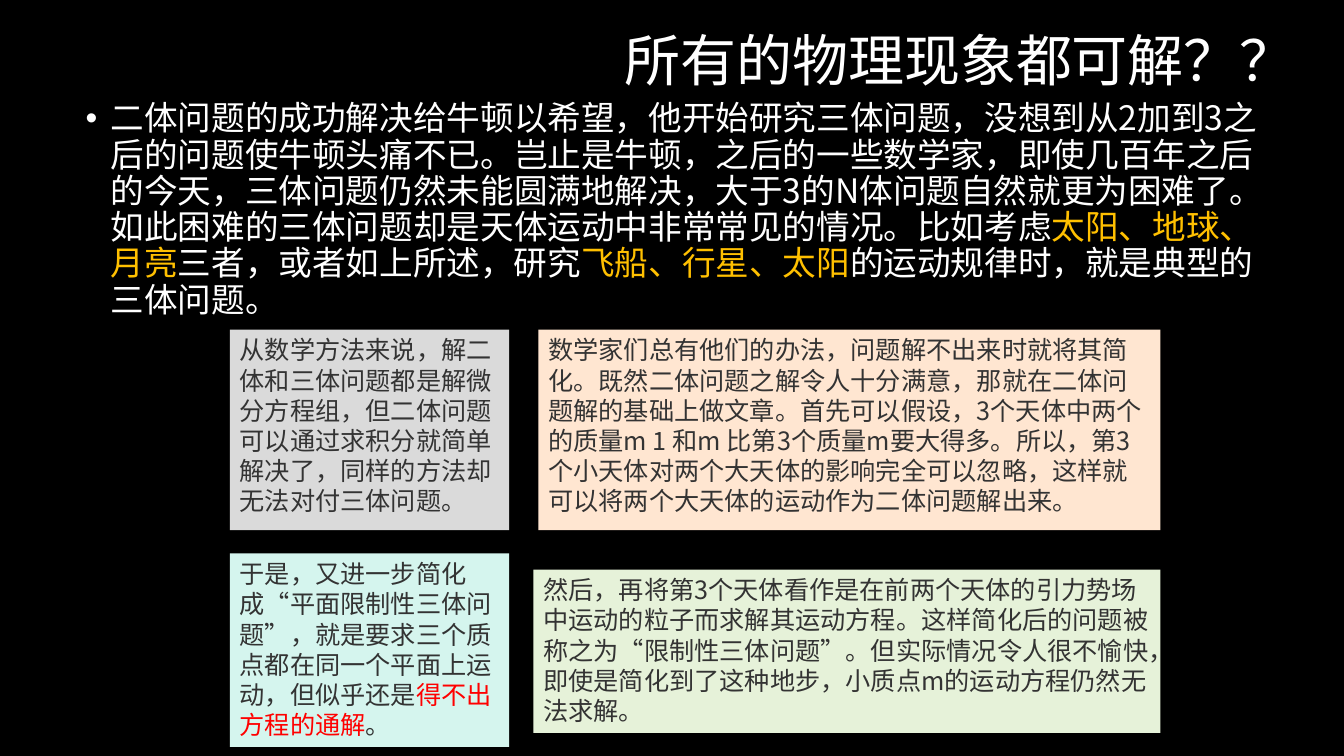
from lxml import etree
from pptx import Presentation
from pptx.dml.color import RGBColor
from pptx.enum.lang import MSO_LANGUAGE_ID
from pptx.enum.shapes import MSO_SHAPE
from pptx.enum.text import MSO_ANCHOR, PP_ALIGN
from pptx.oxml.ns import qn
from pptx.util import Inches, Pt

RECT = MSO_SHAPE.RECTANGLE
TOP, MIDDLE = MSO_ANCHOR.TOP, MSO_ANCHOR.MIDDLE
LEFT, RIGHT = PP_ALIGN.LEFT, PP_ALIGN.RIGHT
CHINESE = MSO_LANGUAGE_ID.SIMPLIFIED_CHINESE

FONT = "Noto Sans CJK SC"
BLACK, WHITE, GOLD = "000000", "FFFFFF", "FFC000"
DARK, RED = "333333", "FF0000"
GREY, PEACH, GREEN, MINT = "DADADA", "FFE6D1", "E6F2D9", "D5F5EE"

SLIDE_W, SLIDE_H = 13.33, 7.5
TITLE_BOX = (3.53, 0.13, 9.42, 1)
BODY_BOX = (0.75, 0.96, 11.83, 2.31)
CARDS_BOX = (2.28, 3.27, 9.23, 4.14)

TITLE = "所有的物理现象都可解？？"
BODY = [
    ("二体问题的成功解决给牛顿以希望，他开始研究三体问题，没想到从2加到3之后的问题使"
     "牛顿头痛不已。岂止是牛顿，之后的一些数学家，即使几百年之后的今天，三体问题仍然"
     "未能圆满地解决，大于3的N体问题自然就更为困难了。如此困难的三体问题却是天体运动中"
     "非常常见的情况。比如考虑", WHITE),
    ("太阳、地球、月亮", GOLD),
    ("三者，或者如上所述，研究", WHITE),
    ("飞船、行星、太阳", GOLD),
    ("的运动规律时，就是典型的三体问题。", WHITE),
]
METHOD = [
    ("从数学方法来说，解二体和三体问题都是解微分方程组，但二体问题可以通过求积分就简单"
     "解决了，同样的方法却无法对付三体问题。", DARK),
]
SIMPLIFY = [
    ("数学家们总有他们的办法，问题解不出来时就将其简化。既然二体问题之解令人十分满意，"
     "那就在二体问题解的基础上做文章。首先可以假设，3个天体中两个的质量m 1 和m 比第3个"
     "质量m要大得多。所以，第3个小天体对两个大天体的影响完全可以忽略，这样就可以将两个"
     "大天体的运动作为二体问题解出来。", DARK),
]
RESTRICTED = [
    ("然后，再将第3个天体看作是在前两个天体的引力势场中运动的粒子而求解其运动方程。这样"
     "简化后的问题被称之为“限制性三体问题”。但实际情况令人很不愉快，即使是简化到了这种"
     "地步，小质点m的运动方程仍然无法求解。", DARK),
]
PLANAR = [
    ("于是，又进一步简化成“平面限制性三体问题”，就是要求三个质点都在同一个平面上运动，"
     "但似乎还是", DARK),
    ("得不出方程的通解", RED),
    ("。", DARK),
]

# Fill, text, width, height, right-hand column?, gap to the top or (negative) bottom edge
CARD_W = 2.77
CARDS = [
    (GREY, METHOD, CARD_W, 1.99, False, 0),
    (PEACH, SIMPLIFY, 6.17, 1.99, True, 0),
    (GREEN, RESTRICTED, 6.22, 1.62, True, 2.38),
    (MINT, PLANAR, CARD_W, 1.92, False, 2.22),
]


def rgb(value):
    return RGBColor.from_string(value)


def write(sp, runs, size, align=LEFT, anchor=TOP, spacing=None, bullet=False):
    """Fill a shape with one paragraph made of (text, colour) runs."""
    tf = sp.text_frame
    tf.word_wrap = True
    tf.vertical_anchor = anchor
    p = tf.paragraphs[0]
    p.alignment = align
    p.line_spacing = spacing
    if bullet:
        pPr = p._p.get_or_add_pPr()
        pPr.set("marL", str(Inches(0.25)))
        pPr.set("indent", str(-Inches(0.25)))
        etree.SubElement(pPr, qn("a:buFont")).set("typeface", "Arial")
        etree.SubElement(pPr, qn("a:buChar")).set("char", "•")
    for text, colour in runs:
        r = p.add_run()
        r.text = text
        r.font.size = Pt(size)
        r.font.name = FONT
        r.font.language_id = CHINESE
        r.font.color.rgb = rgb(colour)
        etree.SubElement(r._r.get_or_add_rPr(), qn("a:ea")).set("typeface", FONT)


def add_title(slide, box):
    sp = slide.shapes.add_textbox(*map(Inches, box))
    write(sp, [(TITLE, WHITE)], 40, align=RIGHT, anchor=MIDDLE, spacing=0.9)


def add_body(slide, box):
    sp = slide.shapes.add_textbox(*map(Inches, box))
    write(sp, BODY, 24, spacing=0.9, bullet=True)


def add_cards(slide, box):
    """Place cards against the left or right edge of the box."""
    left, top, width, _ = box
    for fill, runs, w, h, on_right, drop in CARDS:
        x = left + width - w if on_right else left
        sp = slide.shapes.add_shape(RECT, *map(Inches, (x, top + drop, w, h)))
        sp.shadow.inherit = False
        sp.fill.solid()
        sp.fill.fore_color.rgb = rgb(fill)
        sp.line.fill.background()
        write(sp, runs, 18)


def main():
    prs = Presentation()
    prs.slide_width, prs.slide_height = Inches(SLIDE_W), Inches(SLIDE_H)
    slide = prs.slides.add_slide(prs.slide_layouts[6])
    slide.background.fill.solid()
    slide.background.fill.fore_color.rgb = rgb(BLACK)
    add_title(slide, TITLE_BOX)
    add_body(slide, BODY_BOX)
    add_cards(slide, CARDS_BOX)
    prs.save("out.pptx")


if __name__ == "__main__":
    main()
